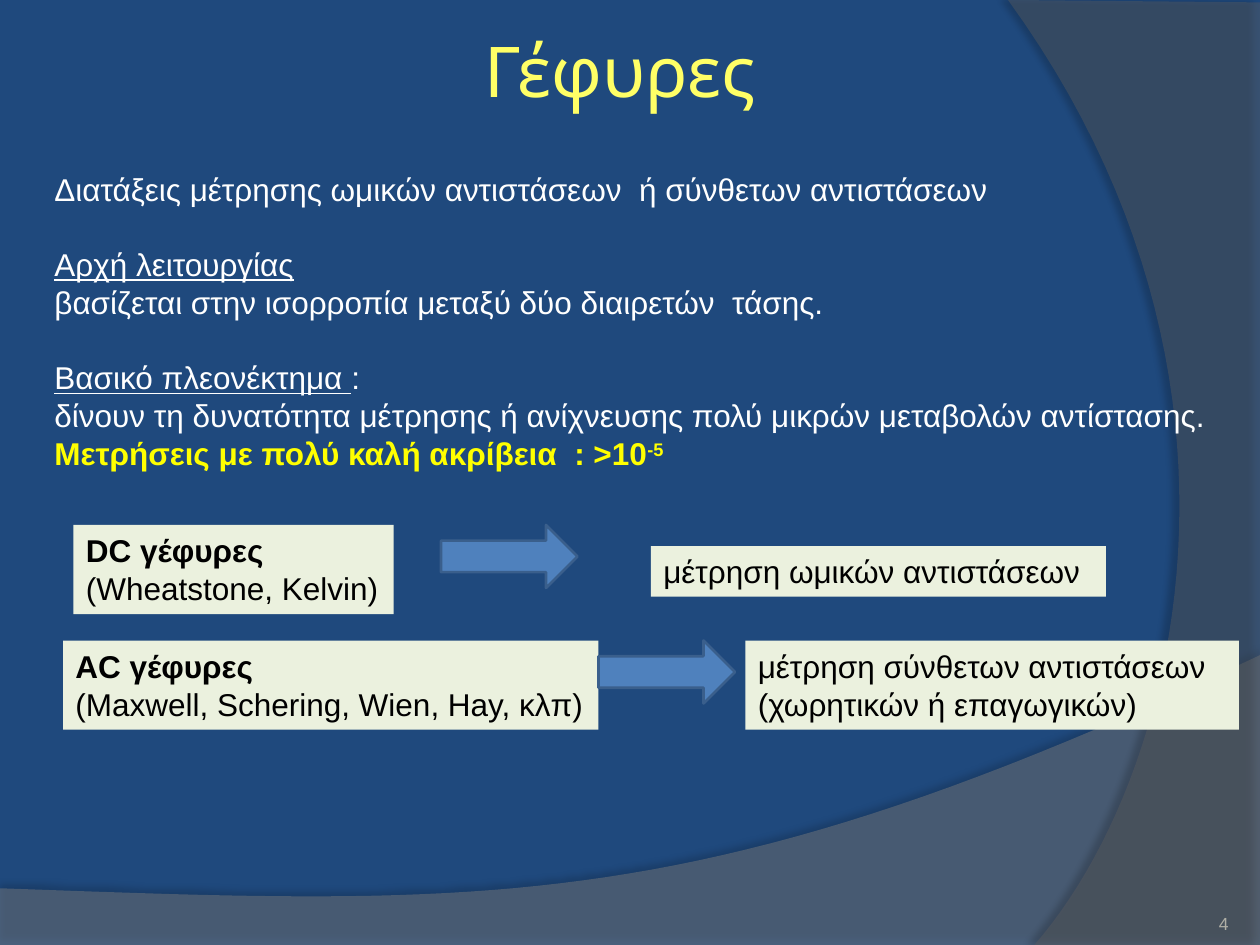
from lxml.etree import SubElement
from pptx import Presentation
from pptx.dml.color import RGBColor
from pptx.enum.shapes import MSO_SHAPE
from pptx.enum.text import MSO_ANCHOR, PP_ALIGN
from pptx.oxml import parse_xml
from pptx.oxml.ns import nsdecls, qn
from pptx.util import Pt

COLORS = {
    "background": "1F497D", "wave": "7F7F7F", "side": "5E5E5E",
    "title": "FFFF66", "body": "FFFFFF", "highlight": "FFFF00",
    "box": "EBF1DE", "box_text": "000000",
    "arrow": "4F81BD", "arrow_line": "3A5F8C", "number": "B0AFA6",
}
LINE_GAP = Pt(21.5)
CURVE_STEPS = 48

prs = Presentation()
prs.slide_width, prs.slide_height = Pt(720), Pt(540)
slide = prs.slides.add_slide(prs.slide_layouts[6])
shapes = slide.shapes
slide.background.fill.solid()
slide.background.fill.fore_color.rgb = RGBColor.from_string(COLORS["background"])


def add_text(left, top, width, height, paragraphs, size, color, font="Arial"):
    """Each paragraph is a list of (text, bold) runs."""
    box = shapes.add_textbox(Pt(left), Pt(top), Pt(width), Pt(height))
    frame = box.text_frame
    frame.word_wrap = True
    for index, runs in enumerate(paragraphs):
        paragraph = frame.add_paragraph() if index else frame.paragraphs[0]
        for text, bold in runs:
            run = paragraph.add_run()
            run.text = text
            run.font.size = Pt(size)
            run.font.name = font
            run.font.bold = bold
            run.font.color.rgb = RGBColor.from_string(COLORS[color])
    return box


def add_swoosh(corners, curve, color, alpha, shadow):
    """Translucent outline: straight corners, then a cubic curve from the last one."""
    start = corners[-1]
    points = list(corners)
    for step in range(1, CURVE_STEPS + 1):
        t = step / CURVE_STEPS
        weights = ((1 - t) ** 3, 3 * t * (1 - t) ** 2, 3 * t * t * (1 - t), t ** 3)
        points.append([sum(w * p[axis] for w, p in zip(weights, (start, *curve)))
                       for axis in (0, 1)])
    emu = [(Pt(x), Pt(y)) for x, y in points]
    builder = shapes.build_freeform(*emu[0])
    builder.add_line_segments(emu[1:], close=True)
    swoosh = builder.convert_to_shape()
    swoosh.fill.solid()
    swoosh.fill.fore_color.rgb = RGBColor.from_string(COLORS[color])
    swoosh.line.fill.background()
    properties = swoosh._element.spPr
    fill_color = properties.find(qn("a:solidFill")).find(qn("a:srgbClr"))
    SubElement(fill_color, qn("a:alpha"), val=str(alpha * 1000))
    opacity, blur, distance, angle = shadow
    properties.append(parse_xml(
        f'<a:effectLst {nsdecls("a")}><a:outerShdw blurRad="{Pt(blur)}" '
        f'dist="{Pt(distance)}" dir="{angle * 60000}" rotWithShape="0">'
        f'<a:srgbClr val="000000"><a:alpha val="{opacity * 1000}"/></a:srgbClr>'
        '</a:outerShdw></a:effectLst>'))


# Backdrop
add_swoosh([(0, 507.6), (0, 540), (720, 540), (720, 374.4)],
           [(402.5, 524.9), (281.5, 517.7), (0, 507.6)],
           "wave", 45, (35, 4, 3.5, 270))
add_swoosh([(720, 1.4), (720, 540), (591.1, 540)],
           [(673.2, 445.7), (733, 216), (576, 0)],
           "side", 40, (45, 4, 4, 180))

# Title and explanation
add_text(270, 12, 174, 48, [[("Γέφυρες", False)]], 40, "title", "Cabin")

explanation = add_text(24, 93.5, 672, 204, [
    [("Διατάξεις μέτρησης ωμικών αντιστάσεων  ή σύνθετων αντιστάσεων", False)],
    [("Αρχή λειτουργίας", False)],
    [("βασίζεται στην ισορροπία μεταξύ δύο διαιρετών  τάσης.", False)],
    [("Βασικό πλεονέκτημα ", False), (":", False)],
    [("δίνουν τη δυνατότητα μέτρησης ή ανίχνευσης πολύ μικρών μεταβολών αντίστασης.", False)],
    [("Μετρήσεις με πολύ καλή ακρίβεια  : >10", True), ("-5", True)],
], 18, "body")
lines = explanation.text_frame.paragraphs
for heading in (lines[1], lines[3]):
    heading.space_before = LINE_GAP
    heading.runs[0].font.underline = True
for run in lines[5].runs:
    run.font.color.rgb = RGBColor.from_string(COLORS["highlight"])
lines[5].runs[1].font._element.set("baseline", "30000")

# Bridge types and what each one measures
bridge_boxes = [
    (42, 300, 183, 51, [[("DC γέφυρες", True)], [("(Wheatstone, Kelvin)", False)]]),
    (372, 312, 260, 29, [[("μέτρηση ωμικών αντιστάσεων", False)]]),
    (36, 366, 306, 51, [[("AC γέφυρες", True)],
                        [("(Maxwell, Schering, Wien, Hay, κλπ)", False)]]),
    (426, 366, 282, 51,
     [[("μέτρηση σύνθετων αντιστάσεων (χωρητικών ή επαγωγικών)", False)]]),
]
for left, top, width, height, paragraphs in bridge_boxes:
    box = add_text(left, top, width, height, paragraphs, 18, "box_text")
    box.fill.solid()
    box.fill.fore_color.rgb = RGBColor.from_string(COLORS["box"])

for left, top in ((252, 300), (342, 366)):
    arrow = shapes.add_shape(MSO_SHAPE.RIGHT_ARROW, Pt(left), Pt(top), Pt(78), Pt(36))
    arrow.shadow.inherit = False
    arrow.fill.solid()
    arrow.fill.fore_color.rgb = RGBColor.from_string(COLORS["arrow"])
    arrow.line.color.rgb = RGBColor.from_string(COLORS["arrow_line"])
    arrow.line.width = Pt(1.5)

# Slide number
number = add_text(642, 505.5, 60, 28.5, [[("4", False)]], 10, "number").text_frame
number.margin_left = number.margin_top = number.margin_right = number.margin_bottom = 0
number.vertical_anchor = MSO_ANCHOR.BOTTOM
number.paragraphs[0].alignment = PP_ALIGN.RIGHT

prs.save("out.pptx")
